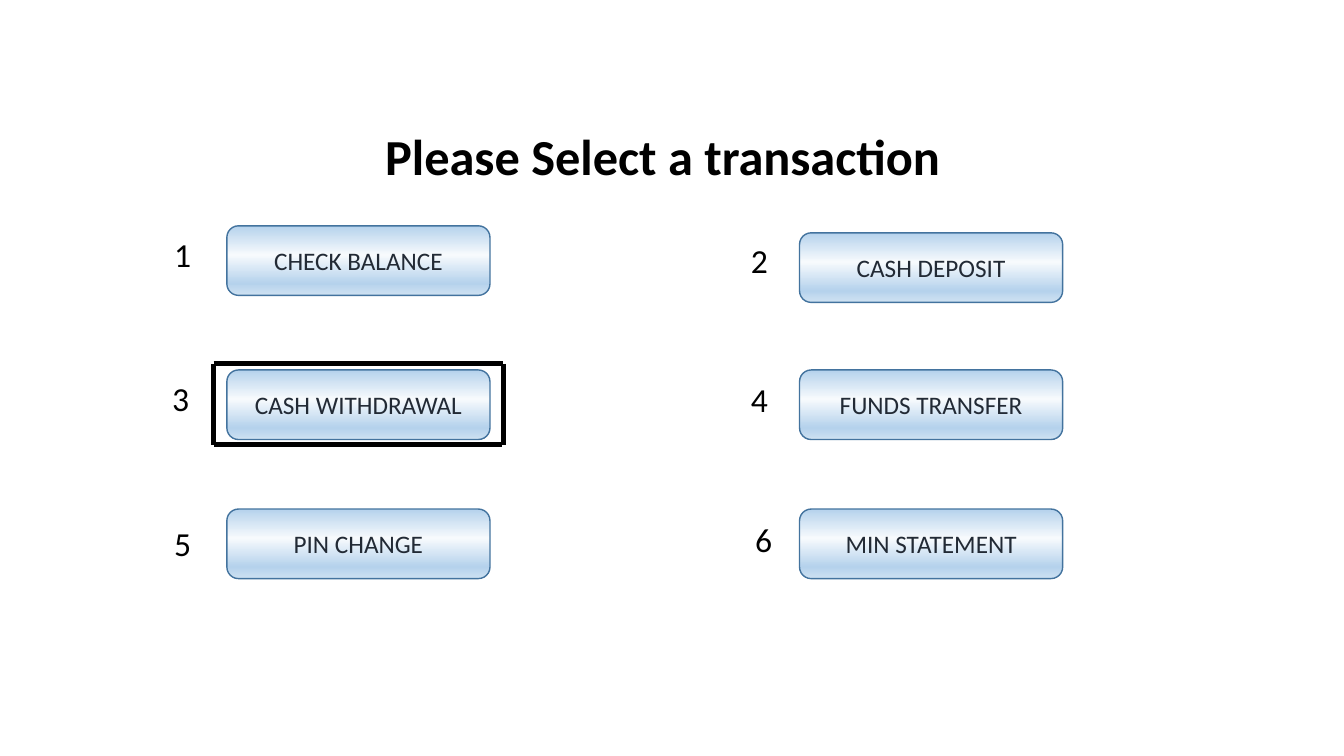
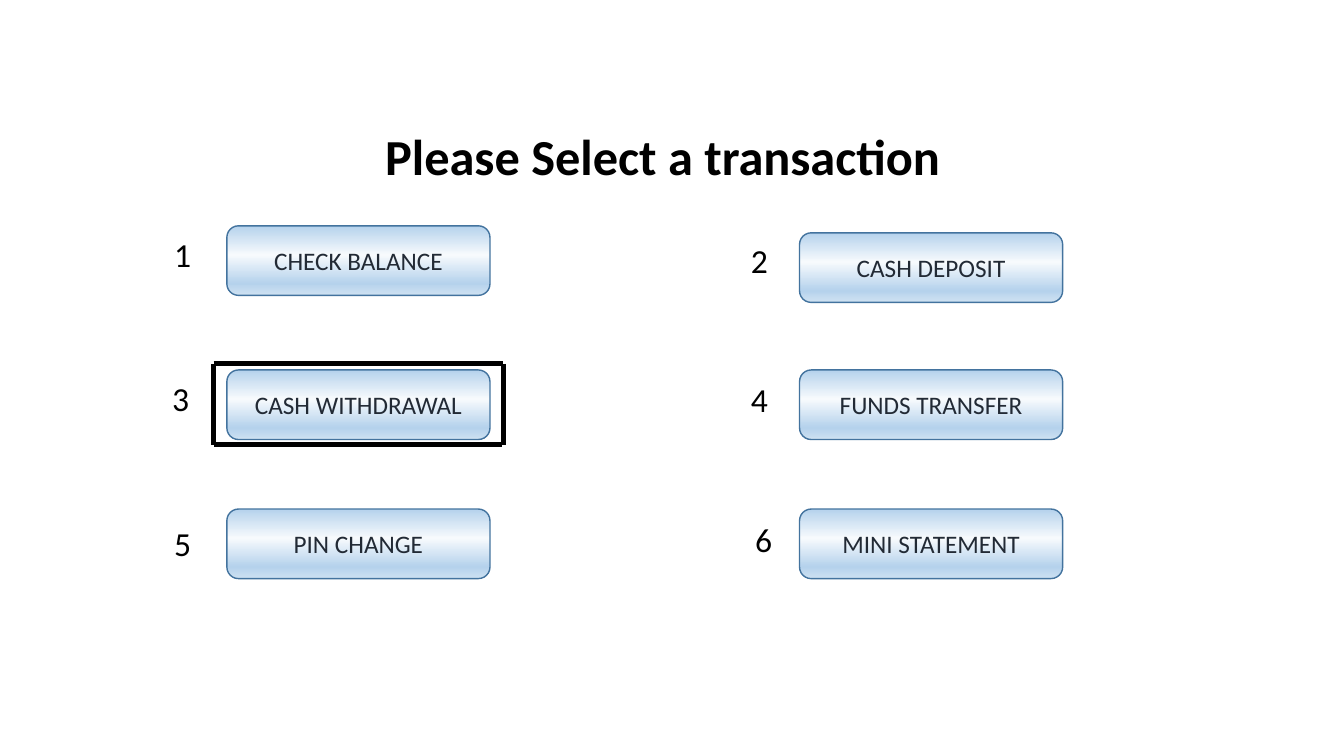
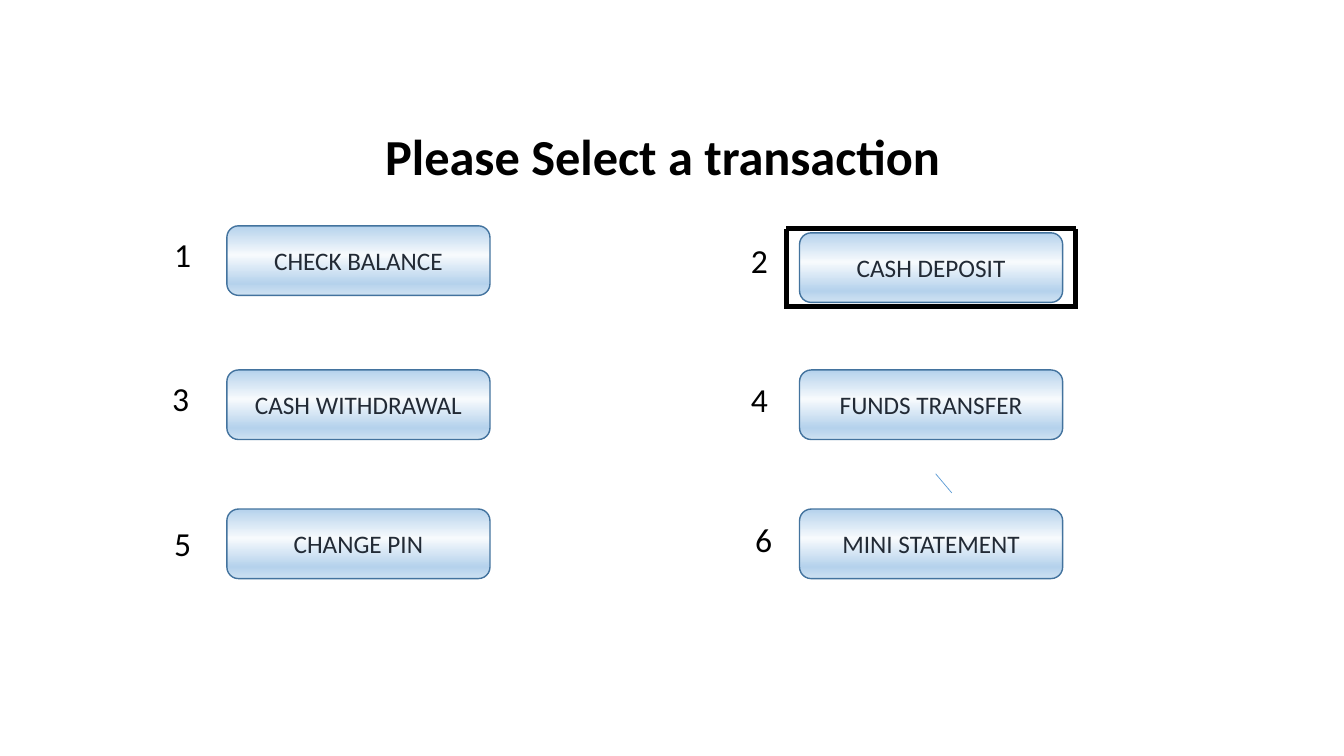
from lxml import etree
from pptx import Presentation
from pptx.dml.color import RGBColor
from pptx.enum import shapes, text
from pptx.oxml.ns import qn
from pptx.util import Inches, Pt

BLACK = RGBColor(0x00, 0x00, 0x00)
INK = RGBColor(0x22, 0x2A, 0x35)
EDGE = RGBColor(0x43, 0x73, 0x9E)
BLUE = RGBColor(0x5B, 0x9B, 0xD5)
PALE = RGBColor(0xB5, 0xD2, 0xEC)
GLOW = RGBColor(0xF7, 0xFA, 0xFD)
SOFT = RGBColor(0xCE, 0xE1, 0xF2)
STOPS = [(0, PALE), (42, GLOW), (83, PALE), (100, SOFT)]
FONT = "Calibri"

WIDE, HIGH = 2.61, 0.69
LEFT, RIGHT = 2.25, 7.93
# Button corner and number corner, in the order of the menu
SPOTS = [
    ((LEFT, 2.24), (1.63, 2.27)), ((RIGHT, 2.31), (7.35, 2.33)),
    ((LEFT, 3.67), (1.61, 3.7)), ((RIGHT, 3.67), (7.35, 3.71)),
    ((LEFT, 5.05), (1.63, 5.14)), ((RIGHT, 5.05), (7.39, 5.1)),
]


def style(par, size, color, bold=False):
    font = par.font
    font.name, font.size, font.bold = FONT, Pt(size), bold
    font.color.rgb = color


def shade(shape):
    """Fill from top to bottom with the colours of STOPS."""
    shape.fill.gradient()
    shape.fill.gradient_angle = 270
    stops = shape.fill._fill._gradFill.find(qn("a:gsLst"))
    stops.clear()
    for pos, color in STOPS:
        stop = etree.SubElement(stops, qn("a:gs"), pos=str(pos * 1000))
        etree.SubElement(stop, qn("a:srgbClr"), val=str(color))


def add_title(slide, words):
    title = slide.shapes.title
    title.left, title.top = Inches(3.38), Inches(1.19)
    title.width, title.height = Inches(6.06), Inches(0.71)
    frame = title.text_frame
    frame.text = words
    frame.auto_size = text.MSO_AUTO_SIZE.NONE
    frame.vertical_anchor = text.MSO_ANCHOR.TOP
    frame.margin_left = Inches(0.44)
    par = frame.paragraphs[0]
    par.alignment = text.PP_ALIGN.LEFT
    style(par, 36, BLACK, True)


def add_button(slide, spot, label):
    x, y = spot
    shape = slide.shapes.add_shape(
        shapes.MSO_SHAPE.ROUNDED_RECTANGLE,
        Inches(x), Inches(y), Inches(WIDE), Inches(HIGH))
    shape.shadow.inherit = False
    shade(shape)
    shape.line.color.rgb = EDGE
    shape.line.width = Pt(1)
    frame = shape.text_frame
    frame.text = label
    frame.vertical_anchor = text.MSO_ANCHOR.MIDDLE
    par = frame.paragraphs[0]
    par.alignment = text.PP_ALIGN.CENTER
    style(par, 18, INK)


def add_number(slide, spot, number):
    x, y = spot
    box = slide.shapes.add_textbox(
        Inches(x), Inches(y), Inches(0.37), Inches(0.5))
    box.text_frame.word_wrap = True
    box.text_frame.text = str(number)
    style(box.text_frame.paragraphs[0], 24, BLACK)


def add_line(slide, start, end, color=BLACK, width=3.5):
    line = slide.shapes.add_connector(
        shapes.MSO_CONNECTOR.STRAIGHT,
        *(Inches(n) for n in (*start, *end)))
    line.line.color.rgb = color
    line.line.width = Pt(width)
    etree.SubElement(line._element.spPr, qn("a:effectLst"))


def add_frame(slide, corner, base):
    """Mark a choice with four lines; base is the left end of the lowest."""
    x, y = corner
    right, low = x + 2.87, y + 0.8
    add_line(slide, corner, (right, y))
    add_line(slide, corner, (x, low))
    add_line(slide, base, (base[0] + 2.86, base[1]))
    add_line(slide, (right, y), (right, low))


def add_menu(deck, pin, report, corner, base):
    slide = deck.slides.add_slide(deck.slide_layouts[5])
    add_title(slide, "Please Select a transaction")
    labels = ["CHECK BALANCE", "CASH DEPOSIT", "CASH WITHDRAWAL",
              "FUNDS TRANSFER", pin, report]
    for number, (label, (spot, mark)) in enumerate(zip(labels, SPOTS), 1):
        add_button(slide, spot, label)
        add_number(slide, mark, number)
    add_frame(slide, corner, base)
    return slide


def main():
    deck = Presentation()
    deck.slide_width, deck.slide_height = Inches(13.33), Inches(7.5)
    for report in ("MIN STATEMENT", "MINI STATEMENT"):
        add_menu(deck, "PIN CHANGE", report, (2.12, 3.61), (2.12, 4.41))
    last = add_menu(deck, "CHANGE PIN", "MINI STATEMENT",
                    (7.8, 2.27), (7.79, 3.04))
    add_line(last, (9.28, 4.7), (9.44, 4.89), BLUE, 0.5)
    deck.save("out.pptx")


if __name__ == "__main__":
    main()
